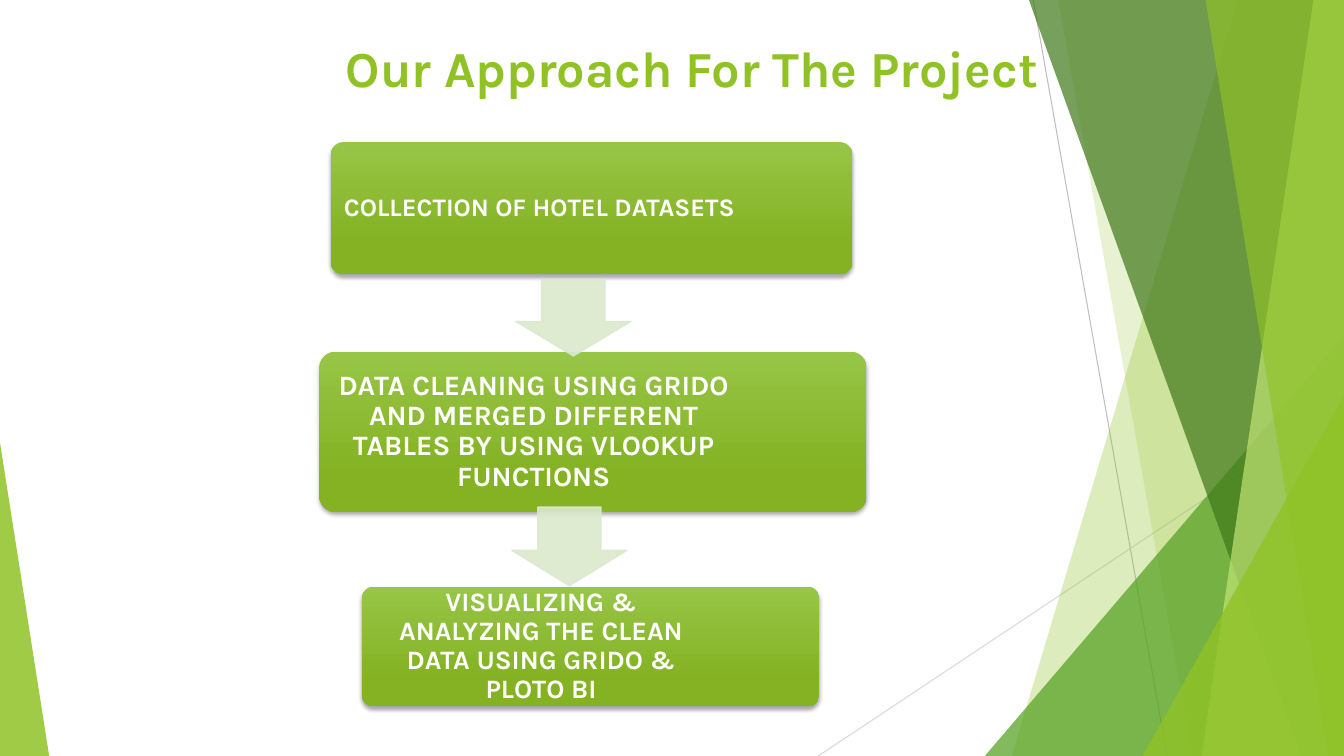
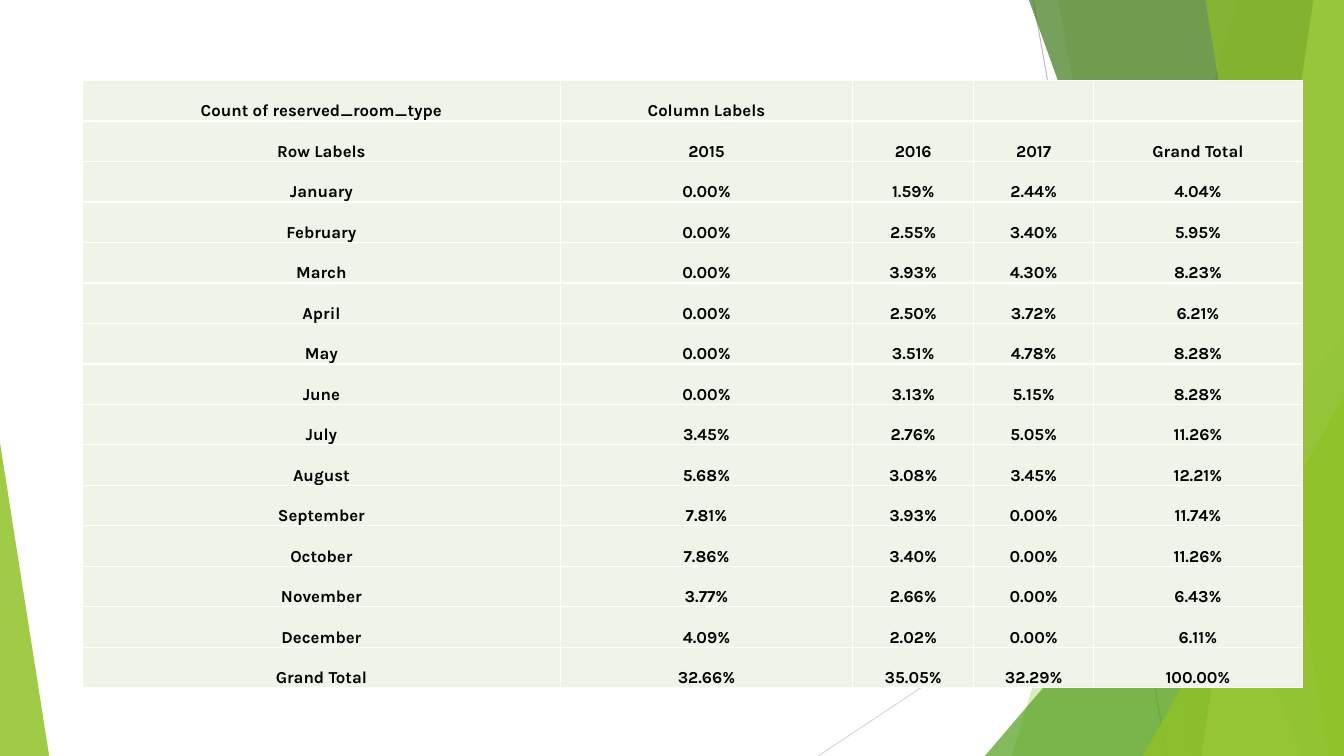
from dataclasses import dataclass
from typing import NamedTuple

import lxml.etree
import pptx
import pptx.dml.color
import pptx.enum.shapes
import pptx.enum.text
import pptx.oxml.ns
import pptx.util
from pptx.util import Cm, Pt

SHAPE = pptx.enum.shapes.MSO_SHAPE
ALIGN = pptx.enum.text.PP_ALIGN
ANCHOR = pptx.enum.text.MSO_ANCHOR
qn = pptx.oxml.ns.qn


@dataclass(frozen=True)
class Theme:
    font: str = "Karla"
    title_size: int = 36
    table_size: int = 12
    green: str = "90C226"
    mid_green: str = "54A021"
    dark_green: str = "3F7819"
    pale_green: str = "C0E474"
    step_top: str = "97C547"
    step_bottom: str = "84B223"
    arrow: str = "DBE9CD"
    cell: str = "EEF4E8"
    dark_line: str = "BFBFBF"
    light_line: str = "D9D9D9"
    white: str = "FFFFFF"
    black: str = "000000"


THEME = Theme()
SLIDE_WIDTH, SLIDE_HEIGHT = 33.87, 19.05


class Box(NamedTuple):
    left: float
    top: float
    width: float
    height: float

    def lengths(self) -> list[pptx.util.Length]:
        return [Cm(value) for value in self]


class Ray(NamedTuple):
    start: tuple[float, float]
    end: tuple[float, float]
    color: str


class Band(NamedTuple):
    """Full-height band reaching the right edge of the slide."""
    top_left: float
    bottom_left: float
    color: str
    opacity: int


class Wedge(NamedTuple):
    box: Box
    apex: float
    color: str
    opacity: int


class Step(NamedTuple):
    box: Box
    right_inset: float
    size: int
    text: str


BACKDROP = (
    Ray((26.04, 0), (29.41, SLIDE_HEIGHT), THEME.dark_line),
    Ray((SLIDE_WIDTH, 10.24), (20.62, SLIDE_HEIGHT), THEME.light_line),
    Band(31.19, 25.5, THEME.green, 30),
    Band(26.67, 30.05, THEME.green, 20),
    Wedge(Box(24.82, 8.46, 9.05, 10.59), 1, THEME.mid_green, 72),
    Band(25.93, 32.79, THEME.dark_green, 70),
    Band(33.1, 30.28, THEME.pale_green, 70),
    Band(30.38, 33.48, THEME.green, 65),
    Wedge(Box(28.8, 9.98, 5.07, 9.07), 1, THEME.green, 80),
    Wedge(Box(0, 11.15, 1.24, 7.9), 0, THEME.green, 85),
)

STEPS = (
    Step(Box(8.33, 3.58, 13.16, 3.33), 2.82, 18, "COLLECTION OF HOTEL DATASETS"),
    Step(Box(8.05, 8.86, 13.79, 4.04), 3.18, 20,
         "DATA CLEANING USING GRIDO AND MERGED DIFFERENT TABLES BY USING VLOOKUP FUNCTIONS"),
    Step(Box(9.12, 14.78, 11.53, 3.02), 2.69, 19,
         "VISUALIZING & ANALYZING THE CLEAN DATA USING GRIDO & PLOTO BI"),
)
ARROWS = (Box(13, 7.04, 2.9, 1.93), Box(12.9, 12.78, 2.9, 1.98))

COLUMN_WIDTHS = (12.04, 7.37, 3.05, 3.02, 5.26)
ROW_HEIGHT = 1.02
BOOKINGS = (
    ("Count of reserved_room_type", "Column Labels", "", "", ""),
    ("Row Labels", "2015", "2016", "2017", "Grand Total"),
    ("January", "0.00%", "1.59%", "2.44%", "4.04%"),
    ("February", "0.00%", "2.55%", "3.40%", "5.95%"),
    ("March", "0.00%", "3.93%", "4.30%", "8.23%"),
    ("April", "0.00%", "2.50%", "3.72%", "6.21%"),
    ("May", "0.00%", "3.51%", "4.78%", "8.28%"),
    ("June", "0.00%", "3.13%", "5.15%", "8.28%"),
    ("July", "3.45%", "2.76%", "5.05%", "11.26%"),
    ("August", "5.68%", "3.08%", "3.45%", "12.21%"),
    ("September", "7.81%", "3.93%", "0.00%", "11.74%"),
    ("October", "7.86%", "3.40%", "0.00%", "11.26%"),
    ("November", "3.77%", "2.66%", "0.00%", "6.43%"),
    ("December", "4.09%", "2.02%", "0.00%", "6.11%"),
    ("Grand Total", "32.66%", "35.05%", "32.29%", "100.00%"),
)


def rgb(color: str) -> pptx.dml.color.RGBColor:
    return pptx.dml.color.RGBColor.from_string(color)


def set_text(text_frame, text: str, size: int, color: str, align=ALIGN.CENTER) -> None:
    text_frame.text = text
    paragraph = text_frame.paragraphs[0]
    paragraph.alignment = align
    for run in paragraph.runs:
        run.font.name = THEME.font
        run.font.size = Pt(size)
        run.font.bold = True
        run.font.color.rgb = rgb(color)


def set_opacity(shape, percent: int) -> None:
    for color in shape.element.spPr.iter(qn("a:srgbClr")):
        lxml.etree.SubElement(color, qn("a:alpha"), val=str(percent * 1000))


def fill_flat(shape, color: str, opacity: int) -> None:
    """Translucent fill without outline or shadow."""
    shape.shadow.inherit = False
    shape.fill.solid()
    shape.fill.fore_color.rgb = rgb(color)
    shape.line.fill.background()
    set_opacity(shape, opacity)


def draw_ray(shapes, ray: Ray) -> None:
    ends = [Cm(value) for value in ray.start + ray.end]
    connector = shapes.add_connector(pptx.enum.shapes.MSO_CONNECTOR.STRAIGHT, *ends)
    connector.line.color.rgb = rgb(ray.color)
    connector.line.width = Pt(0.75)
    lxml.etree.SubElement(connector.element.spPr, qn("a:effectLst"))


def draw_band(shapes, band: Band) -> None:
    right, bottom = Cm(SLIDE_WIDTH), Cm(SLIDE_HEIGHT)
    builder = shapes.build_freeform(Cm(band.top_left), 0)
    builder.add_line_segments([(right, 0), (right, bottom), (Cm(band.bottom_left), bottom)])
    fill_flat(builder.convert_to_shape(), band.color, band.opacity)


def draw_wedge(shapes, wedge: Wedge) -> None:
    shape = shapes.add_shape(SHAPE.ISOSCELES_TRIANGLE, *wedge.box.lengths())
    shape.adjustments[0] = wedge.apex
    fill_flat(shape, wedge.color, wedge.opacity)


def add_backdrop(presentation, slide) -> None:
    """Draw the backdrop as a group on the slide, then move it to the master."""
    group = slide.shapes.add_group_shape()
    painters = {Ray: draw_ray, Band: draw_band, Wedge: draw_wedge}
    for part in BACKDROP:
        painters[type(part)](group.shapes, part)
    for number, properties in enumerate(group.element.iter(qn("p:cNvPr")), start=100):
        properties.set("id", str(number))
    presentation.slide_master.shapes.element.insert(2, group.element)


def draw_step(slide, step: Step) -> None:
    shape = slide.shapes.add_shape(SHAPE.ROUNDED_RECTANGLE, *step.box.lengths())
    shape.adjustments[0] = 0.1
    shape.line.fill.background()
    shape.fill.gradient()
    shape.fill.gradient_angle = 270
    stops = ((0, THEME.step_top), (0.78, THEME.step_bottom))
    for stop, (position, color) in zip(shape.fill.gradient_stops, stops):
        stop.position = position
        stop.color.rgb = rgb(color)

    shape.shadow.inherit = False
    effects = shape.element.spPr.find(qn("a:effectLst"))
    shadow = lxml.etree.SubElement(
        effects, qn("a:outerShdw"), blurRad=str(Pt(3)), dist=str(Pt(2)),
        dir="5400000", rotWithShape="0")
    shadow_color = lxml.etree.SubElement(shadow, qn("a:srgbClr"), val=THEME.black)
    lxml.etree.SubElement(shadow_color, qn("a:alpha"), val="35000")

    frame = shape.text_frame
    frame.word_wrap = True
    frame.vertical_anchor = ANCHOR.MIDDLE
    frame.margin_left = frame.margin_top = frame.margin_bottom = Cm(0.19)
    frame.margin_right = Cm(step.right_inset)
    set_text(frame, step.text, step.size, THEME.white)
    frame.paragraphs[0].line_spacing = 0.9


def draw_arrow(slide, box: Box) -> None:
    shape = slide.shapes.add_shape(SHAPE.DOWN_ARROW, *box.lengths())
    shape.adjustments[0] = 0.55
    shape.adjustments[1] = 0.45
    shape.shadow.inherit = False
    shape.fill.solid()
    shape.fill.fore_color.rgb = rgb(THEME.arrow)
    shape.line.color.rgb = rgb(THEME.arrow)
    shape.line.width = Pt(1)
    set_opacity(shape, 90)


def build_approach_slide(slide) -> None:
    title = slide.shapes.title
    title.left, title.top, title.width, title.height = Box(1.68, 0.69, 24.74, 2.01).lengths()
    title.text_frame.vertical_anchor = ANCHOR.MIDDLE
    set_text(title.text_frame, "Our Approach For The Project",
             THEME.title_size, THEME.green, ALIGN.RIGHT)
    for step in STEPS:
        draw_step(slide, step)
    for box in ARROWS:
        draw_arrow(slide, box)


def format_cell(cell, text: str) -> None:
    cell.fill.solid()
    cell.fill.fore_color.rgb = rgb(THEME.cell)
    cell.vertical_anchor = ANCHOR.BOTTOM
    cell.margin_left = cell.margin_right = cell.margin_top = Cm(0.03)
    cell.margin_bottom = 0
    set_text(cell.text_frame, text, THEME.table_size, THEME.black)
    properties = cell._tc.get_or_add_tcPr()
    for index, side in enumerate(("a:lnL", "a:lnR", "a:lnT", "a:lnB")):
        border = properties.makeelement(qn(side), {"w": str(Pt(1))})
        fill = lxml.etree.SubElement(border, qn("a:solidFill"))
        lxml.etree.SubElement(fill, qn("a:srgbClr"), val=THEME.white)
        properties.insert(index, border)


def build_bookings_slide(slide) -> None:
    box = Box(2.08, 2.03, sum(COLUMN_WIDTHS), ROW_HEIGHT * len(BOOKINGS))
    table = slide.shapes.add_table(len(BOOKINGS), len(COLUMN_WIDTHS), *box.lengths()).table
    table.first_row = table.horz_banding = False
    for column, width in zip(table.columns, COLUMN_WIDTHS):
        column.width = Cm(width)
    for row, texts in zip(table.rows, BOOKINGS):
        row.height = Cm(ROW_HEIGHT)
        for cell, text in zip(row.cells, texts):
            format_cell(cell, text)


def main() -> None:
    presentation = pptx.Presentation()
    presentation.slide_width = Cm(SLIDE_WIDTH)
    presentation.slide_height = Cm(SLIDE_HEIGHT)
    title_only, blank = presentation.slide_layouts[5], presentation.slide_layouts[6]
    approach_slide = presentation.slides.add_slide(title_only)
    add_backdrop(presentation, approach_slide)
    build_approach_slide(approach_slide)
    build_bookings_slide(presentation.slides.add_slide(blank))
    presentation.save("out.pptx")


if __name__ == "__main__":
    main()
